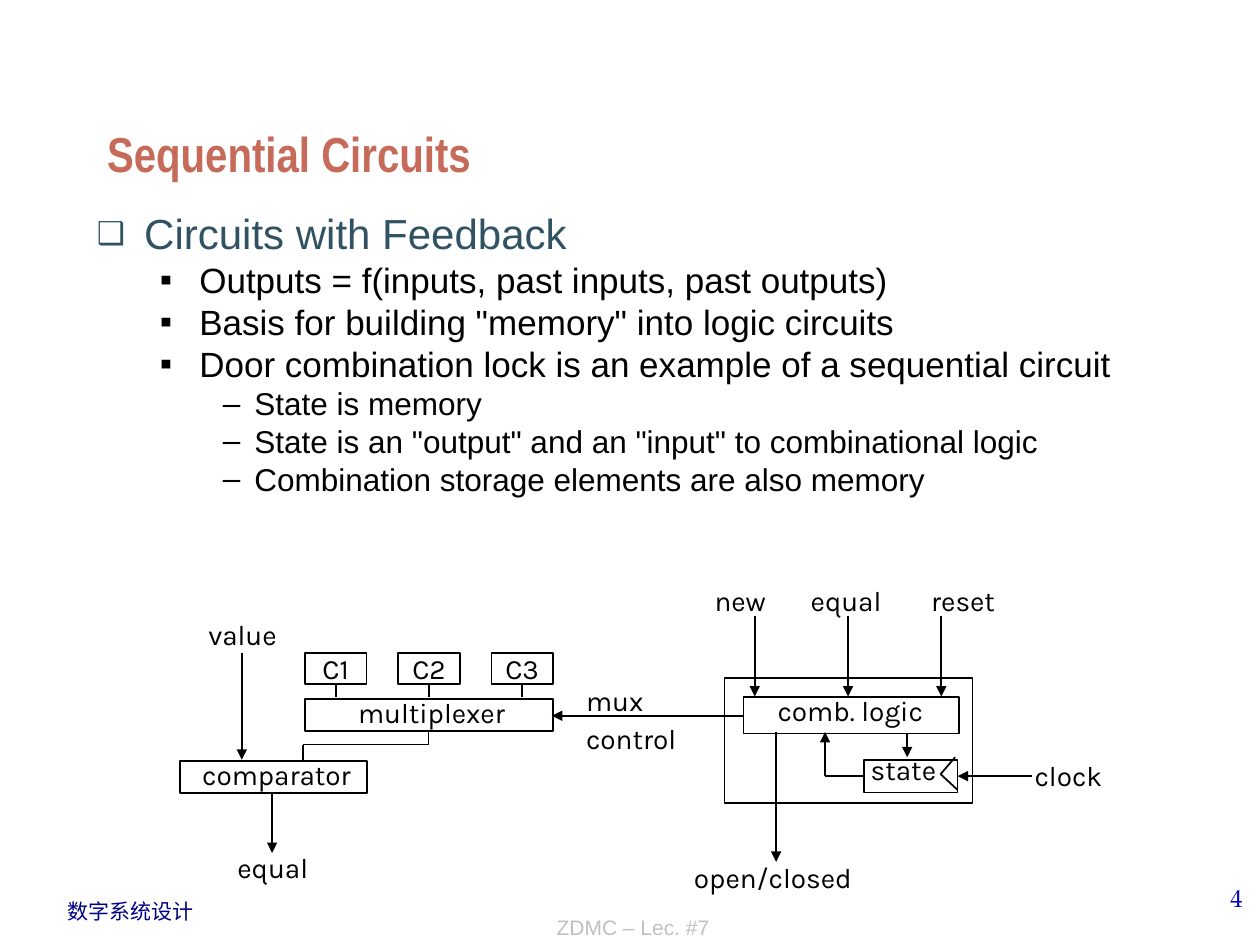
from lxml import etree
from pptx import Presentation
from pptx.dml.color import RGBColor
from pptx.enum import shapes, text
from pptx.oxml.ns import qn
from pptx.util import Pt

COLORS = {"ink": "000000", "title": "C66B5A", "topic": "315263",
          "course": "000082", "number": "0000B6", "footer": "C0C0C0"}
LEFT, CENTER, RIGHT = (text.PP_ALIGN.LEFT, text.PP_ALIGN.CENTER,
                       text.PP_ALIGN.RIGHT)
TIGHT, LOOSE = 16.7, 21.7
PITCH = 53.3  # between neighbouring code boxes and input arrows

LEVELS = [
    {"size": 24, "color": "topic", "bullet": "❑", "left": 27, "hang": 27, "scale": 75},
    {"size": 20, "color": "ink", "bullet": "▪", "left": 58.5, "hang": 22.5, "scale": 100},
    {"size": 18, "color": "ink", "bullet": "–", "left": 90, "hang": 18, "scale": 100},
]
OUTLINE = [
    (0, "Circuits with Feedback"),
    (1, "Outputs = f(inputs, past inputs, past outputs)"),
    (1, 'Basis for building "memory" into logic circuits'),
    (1, "Door combination lock is an example of a sequential circuit"),
    (2, "State is memory"),
    (2, 'State is an "output" and an "input" to combinational logic'),
    (2, "Combination storage elements are also memory"),
]


def rgb(name):
    return RGBColor.from_string(COLORS[name])


def place(sp, box):
    for side, value in zip(("left", "top", "width", "height"), box):
        setattr(sp, side, Pt(value))


def write(p, words, size, color, font="Arial", bold=False):
    p.text = words
    for r in p.runs:
        for key, value in {"size": Pt(size), "name": font, "bold": bold}.items():
            setattr(r.font, key, value)
        r.font.color.rgb = rgb(color)


def add_text(s, box, words, size, color, align=LEFT, font="Arial",
             wrap=True, anchor=text.MSO_ANCHOR.TOP, insets=(7.2, 3.6)):
    tf = s.shapes.add_textbox(*map(Pt, box)).text_frame
    across, down = map(Pt, insets)
    formats = {"word_wrap": wrap, "vertical_anchor": anchor,
               "margin_left": across, "margin_right": across,
               "margin_top": down, "margin_bottom": down}
    for key, value in formats.items():
        setattr(tf, key, value)
    p = tf.paragraphs[0]
    write(p, words, size, color, font)
    p.alignment = align
    return p


def add_label(s, x, y, width, words, align=CENTER, spacing=LOOSE, height=31.7):
    """Diagram label; x is the point the text is aligned on."""
    left = x - {LEFT: 0, CENTER: width / 2, RIGHT: width}[align]
    p = add_text(s, (left, y, width, height), words, 16, "ink", align,
                 "Karla", wrap=False, insets=(1.5, 2))
    p.line_spacing = Pt(spacing)


def add_block(s, x, y, width, height):
    sp = s.shapes.add_shape(shapes.MSO_SHAPE.RECTANGLE,
                            *map(Pt, (x, y, width, height)))
    sp.shadow.inherit = False
    sp.fill.background()
    sp.line.color.rgb = rgb("ink")
    sp.line.width = Pt(1)


def add_wire(s, *points, arrow=False):
    """Straight segments through the points, with an arrowhead at the last."""
    for start, end in zip(points, points[1:]):
        wire = s.shapes.add_connector(shapes.MSO_CONNECTOR.STRAIGHT,
                                      *map(Pt, start + end))
        wire.line.color.rgb = rgb("ink")
        wire.line.width = Pt(1)
        spPr = wire._element.spPr
        if arrow and end == points[-1]:
            etree.SubElement(spPr.get_or_add_ln(), qn("a:tailEnd"), type="triangle")
        etree.SubElement(spPr, qn("a:effectLst"))


def fill_title(s, box):
    sp = s.shapes.title
    place(sp, box)
    tf = sp.text_frame
    tf.auto_size = text.MSO_AUTO_SIZE.NONE
    tf.vertical_anchor = text.MSO_ANCHOR.BOTTOM
    write(tf.paragraphs[0], "Sequential Circuits", 28, "title", "Arial Narrow", True)
    tf.paragraphs[0].alignment = LEFT


def set_bullet(p, style):
    pPr = p._p.get_or_add_pPr()
    pPr.set("marL", str(Pt(style["left"])))
    pPr.set("indent", str(-Pt(style["hang"])))
    color = etree.SubElement(pPr, qn("a:buClr"))
    etree.SubElement(color, qn("a:srgbClr"), val=COLORS[style["color"]])
    etree.SubElement(pPr, qn("a:buSzPct"), val=str(style["scale"] * 1000))
    etree.SubElement(pPr, qn("a:buFont"), typeface="Arial")
    etree.SubElement(pPr, qn("a:buChar"), char=style["bullet"])


def fill_outline(s, box):
    sp = s.placeholders[1]
    place(sp, box)
    tf = sp.text_frame
    tf.auto_size = text.MSO_AUTO_SIZE.NONE
    for i, (level, words) in enumerate(OUTLINE):
        p = tf.add_paragraph() if i else tf.paragraphs[0]
        style = LEVELS[level]
        p.level = level
        set_bullet(p, style)
        p.space_before = Pt(0)
        write(p, words, style["size"], style["color"])


def draw_datapath(s, x, y):
    """Code storage, multiplexer and comparator."""
    for i in range(3):
        left = x + 74.2 + i * PITCH
        middle = left + 17.6
        add_block(s, left, y + 25, 35.3, 18)
        add_label(s, middle, y + 20, 40, f"C{i + 1}")
        add_wire(s, (middle, y + 43), (middle, y + 50.2))
    add_block(s, x + 74.2, y + 51.6, 141.8, 18)
    add_label(s, x + 146.6, y + 50.2, 110, "multiplexer", spacing=TIGHT, height=26.6)
    add_block(s, x + 3, y + 87, 106.6, 18)
    add_label(s, x + 58, y + 85.4, 110, "comparator", spacing=TIGHT, height=26.6)
    add_wire(s, (x + 144.8, y + 69.6), (x + 144.8, y + 77.5),
             (x + 73.2, y + 77.5), (x + 73.2, y + 86.2))
    add_label(s, x + 38.6, y + 0.5, 75.6, "value")
    add_wire(s, (x + 38.2, y + 25), (x + 38.2, y + 86.2), arrow=True)
    add_wire(s, (x + 55.5, y + 105), (x + 55.5, y + 139.4), arrow=True)
    add_label(s, x + 55.9, y + 133.7, 75.6, "equal")


def draw_controller(s, x, y):
    """Combinational logic with its state register."""
    add_block(s, x + 41, y + 58.4, 141.8, 71.3)
    add_block(s, x + 51.8, y + 69.2, 123.1, 20.9)
    add_block(s, x + 120.9, y + 105.2, 53.3, 18.7)
    for i in range(3):
        middle = x + 58.3 + i * PITCH
        add_wire(s, (middle, y + 23), (middle, y + 69), arrow=True)
    add_label(s, x + 66.2, y, 66.2, "new", RIGHT)
    add_label(s, x + 110.5, y, 67, "equal")
    add_label(s, x + 157.6, y, 67, "reset", LEFT)
    add_label(s, x + 69.8, y + 67.7, 123.1, "comb. logic", LEFT, TIGHT, 26.6)
    add_label(s, x + 123.1, y + 101.6, 72, "state", LEFT, TIGHT, 26.6)
    add_wire(s, (x + 120.9, y + 114.5), (x + 98.5, y + 114.5),
             (x + 98.5, y + 89.3), arrow=True)
    add_wire(s, (x + 145.4, y + 90), (x + 145.4, y + 103.7), arrow=True)
    add_wire(s, (x + 174.2, y + 122.4), (x + 164.5, y + 113.4), (x + 172.8, y + 103.7))
    add_wire(s, (x + 216.7, y + 114.5), (x + 174.2, y + 114.5), arrow=True)
    add_label(s, x + 216.7, y + 100.1, 66.2, "clock", LEFT)
    add_wire(s, (x + 70.5, y + 89.3), (x + 70.5, y + 163.5), arrow=True)
    add_label(s, x + 68.7, y + 158.4, 120.2, "open/closed")


def draw_mux_control(s, x, y, length):
    add_wire(s, (x + length, y), (x, y), arrow=True)
    add_label(s, x + 18, y - 23.1, 67, "mux\vcontrol", LEFT, height=53.3)


def add_footer(s, top):
    add_text(s, (31.7, top + 8.8, 86.4, 21.6), "数字系统设计", 12, "course", wrap=False)
    add_text(s, (186.5, top + 3, 350.6, 36.7), "ZDMC – Lec. #7", 12, "footer",
             CENTER, anchor=text.MSO_ANCHOR.BOTTOM)
    add_text(s, (567.4, top, 149.8, 36), "4", 14, "number", RIGHT, "TeX Gyre Pagella")


def main():
    prs = Presentation()
    prs.slide_width, prs.slide_height = Pt(720), Pt(540)
    s = prs.slides.add_slide(prs.slide_layouts[1])
    fill_title(s, (54, 18, 612, 90))
    fill_outline(s, (48.2, 115.2, 612, 324))
    draw_datapath(s, 100, 348)
    draw_controller(s, 373, 329)
    draw_mux_control(s, 315.4, 409, 109.4)
    add_footer(s, 501)
    prs.save("out.pptx")


if __name__ == "__main__":
    main()
